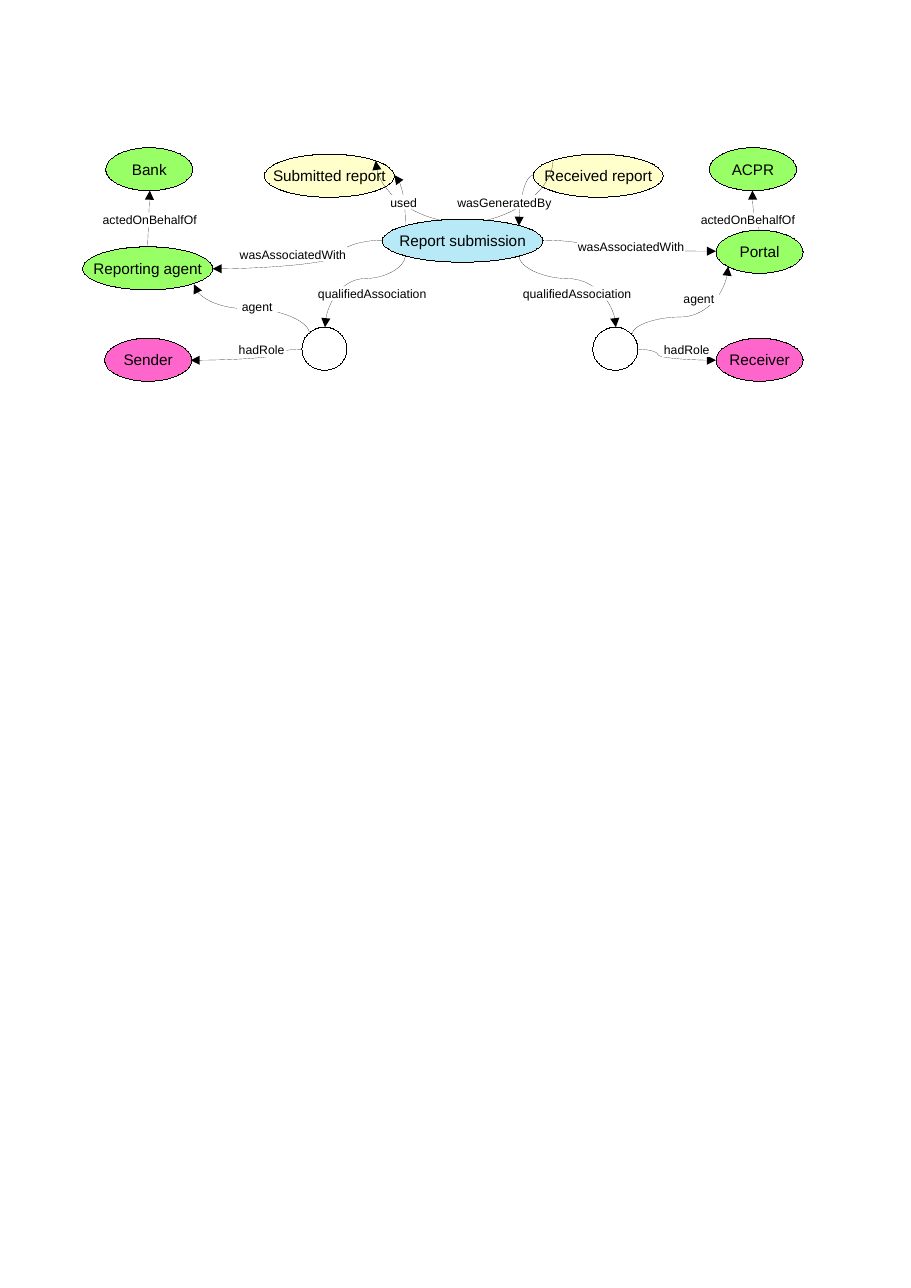
from lxml import etree
from pptx import Presentation
from pptx.dml.color import RGBColor
from pptx.enum import shapes, text
from pptx.oxml.ns import qn
from pptx.util import Inches, Pt

COLORS = {"agent": "99FF66", "report": "FFFFCC", "activity": "B7E9F7",
          "role": "FF66CC", "ink": "000000", "paper": "FFFFFF"}
HAIRLINE = Pt(0.01)  # a width of 0 would fall back to the thick theme line

deck = Presentation()
deck.slide_width, deck.slide_height = Inches(8.27), Inches(11.69)
page = deck.slides.add_slide(deck.slide_layouts[6])


def write(shape, words, size):
    para = shape.text_frame.paragraphs[0]
    para.text = words
    para.alignment = text.PP_ALIGN.CENTER
    para.font.name, para.font.size = "Arial", Pt(size)
    para.font.color.rgb = RGBColor.from_string(COLORS["ink"])


def add_arrow(start, end, leaving, turn):
    """Draw a straight arrow, or a curve leaving horizontally or vertically.

    turn is the bend position along the leaving direction; None means one quarter bend.
    """
    (x1, y1), (x2, y2) = start, end
    kind = shapes.MSO_CONNECTOR.STRAIGHT if leaving == "straight" else shapes.MSO_CONNECTOR.CURVE
    arrow = page.shapes.add_connector(kind, Inches(x1), Inches(y1), Inches(x2), Inches(y2))
    arrow.line.color.rgb = RGBColor.from_string(COLORS["ink"])
    arrow.line.width = HAIRLINE
    props = arrow._element.spPr
    etree.SubElement(props.find(qn("a:ln")), qn("a:tailEnd"), type="triangle")
    etree.SubElement(props, qn("a:effectLst"))
    if leaving == "straight":
        return

    right, up = x2 > x1, y2 < y1
    width, height = abs(x2 - x1), abs(y2 - y1)
    if leaving == "vertical":
        width, height = height, width
        angle, flip_h, flip_v = (90 if right == up else 270), right, up
    else:
        angle, flip_h, flip_v = (0 if right else 180), False, right == up
    arrow.left, arrow.top = Inches((x1 + x2 - width) / 2), Inches((y1 + y2 - height) / 2)
    arrow.width, arrow.height = Inches(width), Inches(height)
    frame = props.find(qn("a:xfrm"))
    frame.set("rot", str(angle * 60000))
    frame.set("flipH", str(int(flip_h)))
    frame.set("flipV", str(int(flip_v)))

    geometry = props.find(qn("a:prstGeom"))
    geometry.set("prst", "curvedConnector2" if turn is None else "curvedConnector3")
    if turn is not None:
        etree.SubElement(geometry.find(qn("a:avLst")), qn("a:gd"),
                         name="adj1", fmla=f"val {round(turn * 100000)}")


# Reports lie below the link between them, which the activity covers
nodes = [
    ("Submitted report", "report", 2.4, 1.4, 1.18),
    ("Received report", "report", 4.84, 1.4, 1.18),
    ("Report submission", "activity", 3.47, 1.99, 1.46),
    ("Reporting agent", "agent", 0.75, 2.24, 1.18),
    ("Bank", "agent", 0.96, 1.34, 0.79),
    ("Portal", "agent", 6.5, 2.09, 0.79),
    ("ACPR", "agent", 6.44, 1.34, 0.79),
    ("Sender", "role", 0.95, 3.07, 0.79),
    ("Receiver", "role", 6.5, 3.07, 0.79),
    ("", None, 2.74, 2.97, 0.41),
    ("", None, 5.38, 2.97, 0.41),
]
for name, kind, left, top, width in nodes:
    if kind == "activity":
        add_arrow((5.02, 1.45), (3.41, 1.46), "vertical", 58)
    node = page.shapes.add_shape(shapes.MSO_SHAPE.OVAL, Inches(left), Inches(top),
                                 Inches(width), Inches(0.39))
    node.shadow.inherit = False
    node.line.color.rgb = RGBColor.from_string(COLORS["ink"])
    node.line.width = HAIRLINE
    if kind:
        node.fill.solid()
        node.fill.fore_color.rgb = RGBColor.from_string(COLORS[kind])
        node.text_frame.word_wrap = False
        node.text_frame.vertical_anchor = text.MSO_ANCHOR.MIDDLE
        write(node, name, 10)
    else:
        node.fill.background()

arrows = [
    ((3.68, 2.05), (3.58, 1.59), "vertical", None),
    ((4.84, 1.59), (4.71, 2.05), "horizontal", None),
    ((4.71, 2.32), (5.59, 2.97), "vertical", 0.32),
    ((3.68, 2.32), (2.95, 2.97), "vertical", 0.32),
    ((3.47, 2.18), (1.93, 2.44), "horizontal", 0.25),
    ((4.92, 2.18), (6.5, 2.28), "horizontal", 0.25),
    ((1.34, 2.24), (1.36, 1.73), "straight", None),
    ((6.89, 2.09), (6.83, 1.73), "vertical", 0.25),
    ((2.81, 3.03), (1.76, 2.58), "vertical", 0.5),
    ((5.74, 3.03), (6.61, 2.42), "vertical", 0.25),
    ((2.74, 3.17), (1.73, 3.27), "horizontal", 0.25),
    ((5.8, 3.17), (6.5, 3.27), "horizontal", 0.25),
]
for start, end, leaving, turn in arrows:
    add_arrow(start, end, leaving, turn)

label_widths = {"wasGeneratedBy": 0.9, "used": 0.39, "qualifiedAssociation": 1.02,
                "wasAssociatedWith": 0.98, "actedOnBehalfOf": 0.98, "agent": 0.37, "hadRole": 0.45}
labels = [
    ("wasGeneratedBy", 4.13, 1.77), ("used", 3.47, 1.77),
    ("qualifiedAssociation", 2.87, 2.6), ("qualifiedAssociation", 4.73, 2.6),
    ("wasAssociatedWith", 2.17, 2.24), ("wasAssociatedWith", 5.24, 2.17),
    ("actedOnBehalfOf", 0.87, 1.93), ("actedOnBehalfOf", 6.3, 1.93),
    ("agent", 2.15, 2.72), ("agent", 6.16, 2.64),
    ("hadRole", 2.15, 3.11), ("hadRole", 6.01, 3.11),
]
for name, left, top in labels:
    label = page.shapes.add_textbox(Inches(left), Inches(top), Inches(label_widths[name]), Inches(0.13))
    label.fill.solid()
    label.fill.fore_color.rgb = RGBColor.from_string(COLORS["paper"])
    frame = label.text_frame
    frame.margin_left = frame.margin_right = frame.margin_top = frame.margin_bottom = 0
    frame.word_wrap = True
    frame.auto_size = text.MSO_AUTO_SIZE.SHAPE_TO_FIT_TEXT
    write(label, name, 8)

deck.save("out.pptx")
